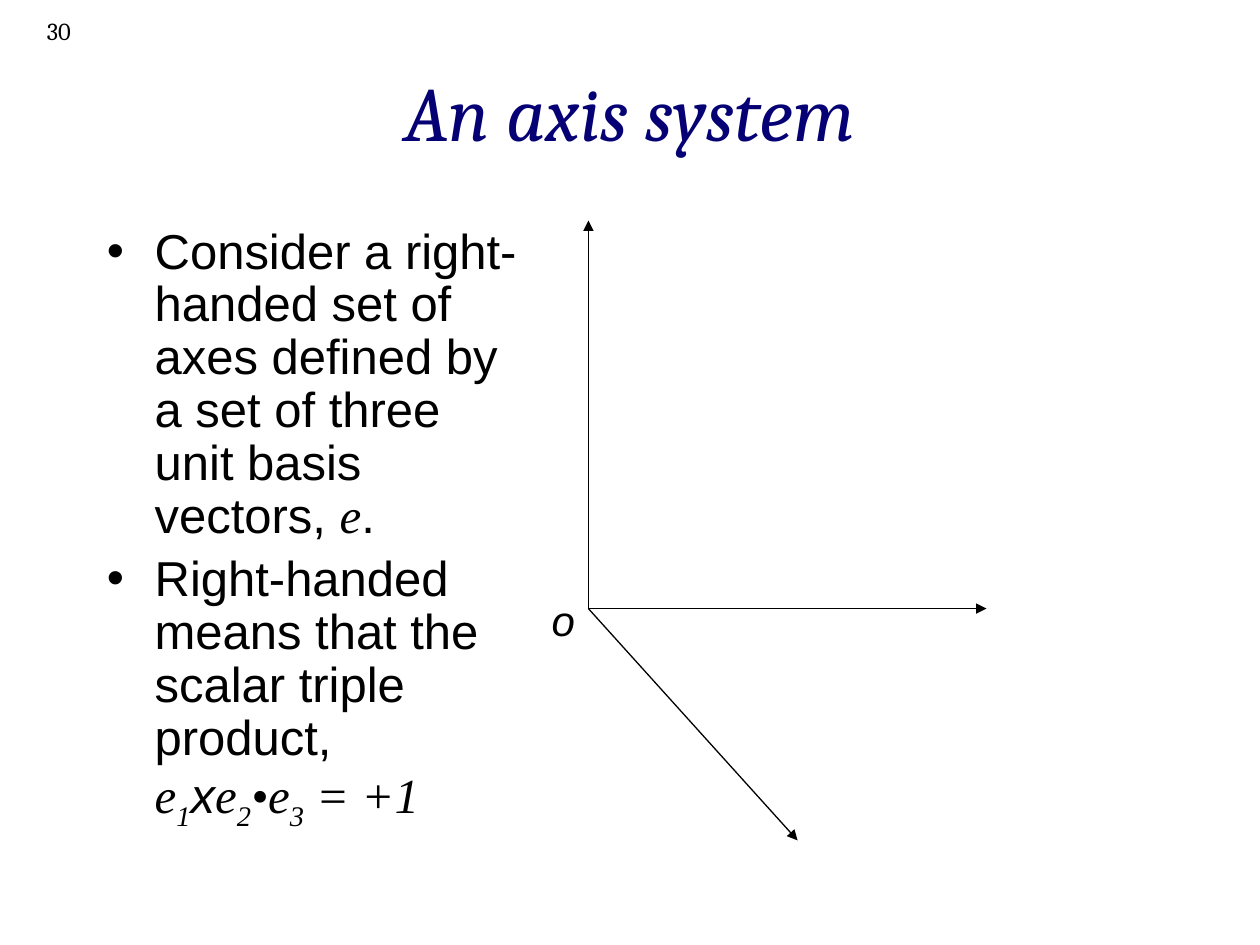
from lxml import etree
from pptx import Presentation
from pptx.dml.color import RGBColor
from pptx.enum.shapes import MSO_CONNECTOR
from pptx.enum.text import MSO_ANCHOR, MSO_AUTO_SIZE, PP_ALIGN
from pptx.oxml.ns import qn
from pptx.util import Inches, Pt

STRAIGHT = MSO_CONNECTOR.STRAIGHT
TOP, MIDDLE = MSO_ANCHOR.TOP, MSO_ANCHOR.MIDDLE
LEFT, CENTER, RIGHT = PP_ALIGN.LEFT, PP_ALIGN.CENTER, PP_ALIGN.RIGHT
COLORS = {"text": "000000", "title": "050074", "axis": "000000", "background": "FFFFFF"}
SANS, SERIF, MATH = "Arial", "Cambria", "Times New Roman"

# Styles: font, italic, baseline shift in thousandths of a percent
PLAIN = (SANS, False, 0)
SANS_ITALIC = (SANS, True, 0)
VECTOR = (MATH, True, 0)
INDEX = (MATH, True, -25000)
BREAK = None

PAGE_NUMBER = "30"
TITLE = "An axis system"
BULLETS = [
    [("Consider a right-handed set of axes defined by a set of three "
      "unit basis vectors, ", PLAIN), ("e", VECTOR), (".", PLAIN)],
    [("Right-handed means that the scalar triple product,", PLAIN), ("", BREAK),
     ("e", VECTOR), ("1", INDEX), ("x", SANS_ITALIC), ("e", VECTOR), ("2", INDEX),
     ("•e", VECTOR), ("3", INDEX), (" = +1", VECTOR)],
]
BULLET_SIZE = 28
BULLET_INDENT = 0.38

ORIGIN = (4.67, 4.83)
AXIS_TIPS = [(4.67, 1.75), (7.83, 4.83), (6.33, 6.67)]
ORIGIN_LABEL = "o"


def add_text_frame(slide, left, top, width, height, anchor=TOP, wrap=True):
    box = slide.shapes.add_textbox(Inches(left), Inches(top), Inches(width), Inches(height))
    frame = box.text_frame
    frame.word_wrap = wrap
    frame.vertical_anchor = anchor
    return frame


def add_run(paragraph, text, size, style=PLAIN, color="text"):
    font_name, italic, baseline = style
    run = paragraph.add_run()
    run.text = text
    run.font.name = font_name
    run.font.size = Pt(size)
    run.font.italic = italic
    run.font.color.rgb = RGBColor.from_string(COLORS[color])
    if baseline:
        run.font._element.set("baseline", str(baseline))


def add_line(frame, text, size, style, align=LEFT, color="text"):
    """Fill the first paragraph of a frame with a single run."""
    paragraph = frame.paragraphs[0]
    paragraph.alignment = align
    add_run(paragraph, text, size, style, color)


def make_bullet(paragraph):
    properties = paragraph._p.get_or_add_pPr()
    indent = Inches(BULLET_INDENT)
    properties.set("marL", str(indent))
    properties.set("indent", str(-indent))
    etree.SubElement(properties, qn("a:buFont"), typeface=SANS)
    etree.SubElement(properties, qn("a:buChar"), char="•")
    paragraph.line_spacing = 0.9


def add_bullets(frame):
    for number, parts in enumerate(BULLETS):
        paragraph = frame.add_paragraph() if number else frame.paragraphs[0]
        make_bullet(paragraph)
        if number:
            paragraph.space_before = Pt(0.2 * BULLET_SIZE)
        for text, style in parts:
            if style is BREAK:
                paragraph.add_line_break()
            else:
                add_run(paragraph, text, BULLET_SIZE, style)


def add_axis(slide, tip):
    axis = slide.shapes.add_connector(STRAIGHT, *map(Inches, ORIGIN + tip))
    axis.line.color.rgb = RGBColor.from_string(COLORS["axis"])
    axis.line.width = Pt(0.75)
    etree.SubElement(axis.line._get_or_add_ln(), qn("a:tailEnd"), type="triangle")
    etree.SubElement(axis._element.spPr, qn("a:effectLst"))


def main():
    deck = Presentation()
    deck.slide_width, deck.slide_height = Inches(10), Inches(7.5)
    slide = deck.slides.add_slide(deck.slide_layouts[6])
    slide.background.fill.solid()
    slide.background.fill.fore_color.rgb = RGBColor.from_string(COLORS["background"])

    add_line(add_text_frame(slide, 0.08, 0.08, 0.58, 0.42),
             PAGE_NUMBER, 14, (SERIF, False, 0), RIGHT)
    add_line(add_text_frame(slide, 0.75, 0.25, 8.5, 1.25, MIDDLE),
             TITLE, 44, (SERIF, True, 0), CENTER, "title")
    add_bullets(add_text_frame(slide, 0.75, 1.75, 3.5, 4.67))

    for tip in AXIS_TIPS:
        add_axis(slide, tip)
    label = add_text_frame(slide, 4.28, 4.67, 0.39, 0.5, wrap=False)
    label.auto_size = MSO_AUTO_SIZE.SHAPE_TO_FIT_TEXT
    add_line(label, ORIGIN_LABEL, 24, SANS_ITALIC)

    deck.save("out.pptx")


if __name__ == "__main__":
    main()
